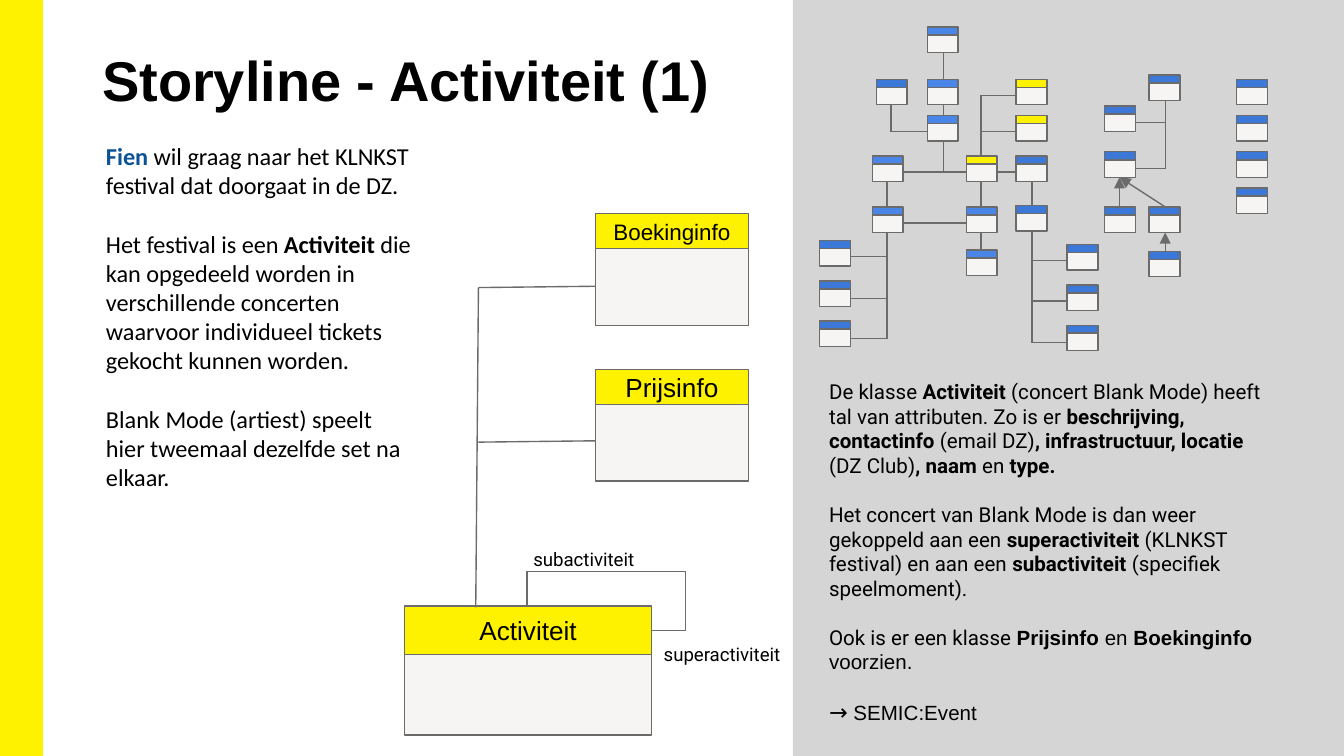
import pptx
import pptx.dml.color
import pptx.enum.shapes
import pptx.enum.text
import pptx.oxml
import pptx.oxml.ns
import pptx.util

CELL = 0.1
COLUMNS, ROWS = 100, 56.25
COLORS = {
    "yellow": "FFF200", "panel": "D5D5D5", "body": "F6F5F3", "line": "6B6B6B",
    "bright": "4A86E8", "blue": "3C78D8", "name": "0B5394", "text": "000000",
}
BOLD = {"bold": True}
ARIAL = {"font": "Arial"}

MODEL_CLASSES = {
    "bright": {69: [2, 5.9, 8.6], 64.9: [11.6, 15.4], 71.9: [15.4, 18.6]},
    "yellow": {71.9: [11.6], 75.6: [5.9, 8.6]},
    "blue": {
        65.2: [5.9], 75.6: [11.6, 15.3], 61: [17.9, 20.9, 23.9],
        79.4: [18.2, 21.2, 24.2], 82.2: [7.9, 11.3, 15.4],
        85.5: [5.6, 15.4, 18.7], 92: [5.9, 8.6, 11.3, 14],
    },
}
VERTICAL_LINKS = {
    66.3: [(7.8, 9.8)],
    66: [(13.5, 15.4), (17.3, 25.2)],
    70.2: [(3.9, 5.9), (7.8, 8.6), (10.5, 12.8)],
    73: [(7.1, 11.6), (13.5, 15.4), (17.3, 18.6)],
    76.8: [(13.5, 15.3), (17.1, 25.5)],
    86.7: [(7.5, 12.55)],
}
HORIZONTAL_LINKS = {
    (73, 75.6): [7.1, 9.8], (74.2, 75.6): [12.8], (67.2, 71.9): [12.8, 16.6],
    (63.3, 66): [19.1, 22.2, 25.2], (76.8, 79.4): [19.4, 22.4, 25.5],
    (66.3, 69): [9.8], (84.5, 86.7): [9.1, 12.55],
}
SUBCLASS_ARROWS = [
    (83.3, 15.4, 83.3, 13.2), (86.7, 15.4, 83.3, 13.2), (86.7, 18.7, 86.7, 17.3),
]
ACTIVITY_LINKS = [
    (35.4, 45.2, 35.6, 21.4), (44.3, 21.3, 35.6, 21.4), (44.3, 32.8, 35.6, 32.9),
]

STORY = [
    [("Fien ", {"bold": True, "color": "name"}),
     ("wil graag naar het KLNKST festival dat doorgaat in de DZ.", {})],
    [("Het festival is een ", {}), ("Activiteit ", BOLD),
     ("die kan opgedeeld worden in verschillende concerten waarvoor "
      "individueel tickets gekocht kunnen worden.", {})],
    [("Blank Mode (artiest) speelt hier tweemaal dezelfde set na elkaar.", {})],
]
EXPLANATION = [
    [("De klasse ", {}), ("Activiteit ", BOLD),
     ("(concert Blank Mode) heeft tal van attributen. Zo is er ", {}),
     ("beschrijving, contactinfo ", BOLD), ("(email DZ)", {}),
     (", infrastructuur, locatie ", BOLD), ("(DZ Club)", {}),
     (", naam ", BOLD), ("en ", {}), ("type.", BOLD)],
    [("Het concert van Blank Mode is dan weer gekoppeld aan een ", {}),
     ("superactiviteit ", BOLD), ("(KLNKST festival) en aan een ", {}),
     ("subactiviteit ", BOLD), ("(specifiek speelmoment).", {})],
    [("Ook is er een klasse ", {}), ("Prijsinfo", ARIAL | BOLD), (" en ", ARIAL),
     ("Boekinginfo ", ARIAL | BOLD), ("voorzien.", ARIAL)],
    [("→ ", {"size": 12}), ("SEMIC:Event", ARIAL)],
]


def grid(*cells):
    """Turn grid cells into slide lengths."""
    return [pptx.util.Inches(round(cell * CELL, 3)) for cell in cells]


def color(name):
    """Return the named colour of the palette."""
    return pptx.dml.color.RGBColor.from_string(COLORS[name])


def write(frame, paragraphs, *, font="Arial", size=14, ink="text", bold=False,
          align="LEFT", anchor="TOP", gap=0, inset=(0.1, 0.1)):
    """Fill a text frame with paragraphs of formatted runs."""
    frame.word_wrap = True
    frame.margin_left = frame.margin_right = pptx.util.Inches(inset[0])
    frame.margin_top = frame.margin_bottom = pptx.util.Inches(inset[1])
    frame.vertical_anchor = getattr(pptx.enum.text.MSO_ANCHOR, anchor)
    for index, runs in enumerate(paragraphs):
        paragraph = frame.add_paragraph() if index else frame.paragraphs[0]
        paragraph.alignment = getattr(pptx.enum.text.PP_ALIGN, align)
        if index:
            paragraph.space_before = pptx.util.Pt(gap)
        for words, change in runs:
            run = paragraph.add_run()
            run.text = words
            run.font.name = change.get("font", font)
            run.font.size = pptx.util.Pt(change.get("size", size))
            run.font.bold = change.get("bold", bold)
            run.font.color.rgb = color(change.get("color", ink))


def add_text(shapes, area, paragraphs, **style):
    """Add a text box that covers an area of the grid."""
    write(shapes.add_textbox(*grid(*area)).text_frame, paragraphs, **style)


def add_block(shapes, area, fill, outline=None, width=0.75):
    """Add a filled rectangle with an optional outline."""
    block = shapes.add_shape(pptx.enum.shapes.MSO_SHAPE.RECTANGLE, *grid(*area))
    block.shadow.inherit = False
    block.fill.solid()
    block.fill.fore_color.rgb = color(fill)
    if outline:
        block.line.color.rgb = color(outline)
        block.line.width = pptx.util.Pt(width)
    else:
        block.line.fill.background()
    return block


def add_class(shapes, area, fill, header, overlap=0, title=None, size=14):
    """Add a class as a group of a body and a header."""
    left, top, width, height = area
    group = shapes.add_group_shape().shapes
    body_top = header - overlap
    add_block(group, (left, top + body_top, width, height - body_top), "body", "line")
    head = add_block(group, (left, top, width, header), fill, "line")
    if title:
        write(head.text_frame, [[(title, {})]], size=size, align="CENTER", anchor="MIDDLE")


def add_link(shapes, ends, arrow=False, kind="STRAIGHT"):
    """Add a connector between two grid points."""
    link = shapes.add_connector(getattr(pptx.enum.shapes.MSO_CONNECTOR, kind), *grid(*ends))
    link.line.color.rgb = color("line")
    link.line.width = pptx.util.Pt(0.75)
    if arrow:
        tail = pptx.oxml.parse_xml(
            f'<a:tailEnd {pptx.oxml.ns.nsdecls("a")} type="triangle"/>')
        link.line._get_or_add_ln().append(tail)
    link._element.spPr.append(
        pptx.oxml.parse_xml(f'<a:effectLst {pptx.oxml.ns.nsdecls("a")}/>'))
    return link


def add_self_link(shapes):
    """Add the bent link from the activity class to itself."""
    properties = add_link(shapes, (42.9, 41.4, 44.7, 50.6), kind="ELBOW")._element.spPr
    properties.xfrm.set("rot", "16200000")
    properties.xfrm.set("flipH", "1")
    properties.replace(properties.prstGeom, pptx.oxml.parse_xml(
        f'<a:prstGeom {pptx.oxml.ns.nsdecls("a")} prst="bentConnector4"><a:avLst>'
        '<a:gd name="adj1" fmla="val -144300"/><a:gd name="adj2" fmla="val 128300"/>'
        '</a:avLst></a:prstGeom>'))


def add_model(shapes):
    """Add the overview of all classes and their links."""
    for column, spans in VERTICAL_LINKS.items():
        for top, bottom in spans:
            add_link(shapes, (column, top, column, bottom))
    for (left, right), rows in HORIZONTAL_LINKS.items():
        for row in rows:
            add_link(shapes, (left, row, right, row))
    for fill, columns in MODEL_CLASSES.items():
        for column, rows in columns.items():
            for row in rows:
                add_class(shapes, (column, row, 2.3, 1.9), fill, header=0.6)
    for ends in SUBCLASS_ARROWS:
        add_link(shapes, ends, arrow=True)


def add_activity(shapes):
    """Add the activity class with its booking and price classes."""
    add_self_link(shapes)
    add_class(shapes, (30.1, 45.1, 18.4, 9.6), "yellow", 3.6, title="Activiteit")
    for row, title, size in [(15.9, "Boekinginfo", 12), (27.5, "Prijsinfo", 14)]:
        add_class(shapes, (44.3, row, 11.4, 8.3), "yellow", 2.6, 0.2, title, size)
    for column, row, role in [(38.7, 39.9, "subactiviteit"), (48.4, 47, "superactiviteit")]:
        add_text(shapes, (column, row, 12.3, 3.7), [[(role, {})]], font="Roboto", size=10)
    for ends in ACTIVITY_LINKS:
        add_link(shapes, ends)


def main():
    """Build the slide and save it."""
    deck = pptx.Presentation()
    deck.slide_width, deck.slide_height = grid(COLUMNS, ROWS)
    shapes = deck.slides.add_slide(deck.slide_layouts[6]).shapes
    add_block(shapes, (0, 0, 3.1, ROWS), "yellow", "yellow", 1)
    add_block(shapes, (59, 0, 41, ROWS), "panel")
    add_text(shapes, (6.9, 3, 50.4, 6), [[("Storyline - Activiteit (1)", {})]],
             size=30, bold=True, inset=(0.07, 0.04))
    add_text(shapes, (6.9, 9.5, 24.9, 30.5), STORY, font="Calibri", size=13, gap=15.8)
    add_text(shapes, (60.7, 27.2, 34.8, 30), EXPLANATION, font="Roboto", size=11, gap=13)
    add_model(shapes)
    add_activity(shapes)
    deck.save("out.pptx")


if __name__ == "__main__":
    main()
